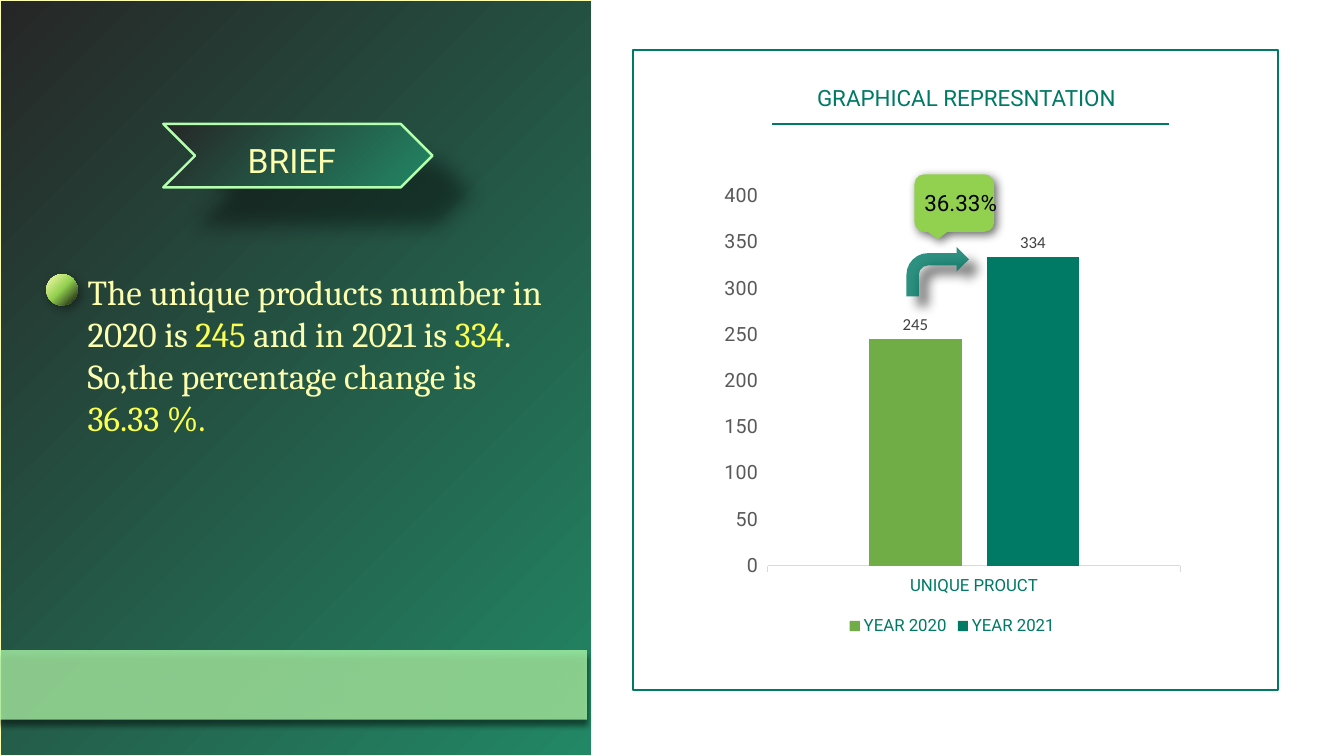
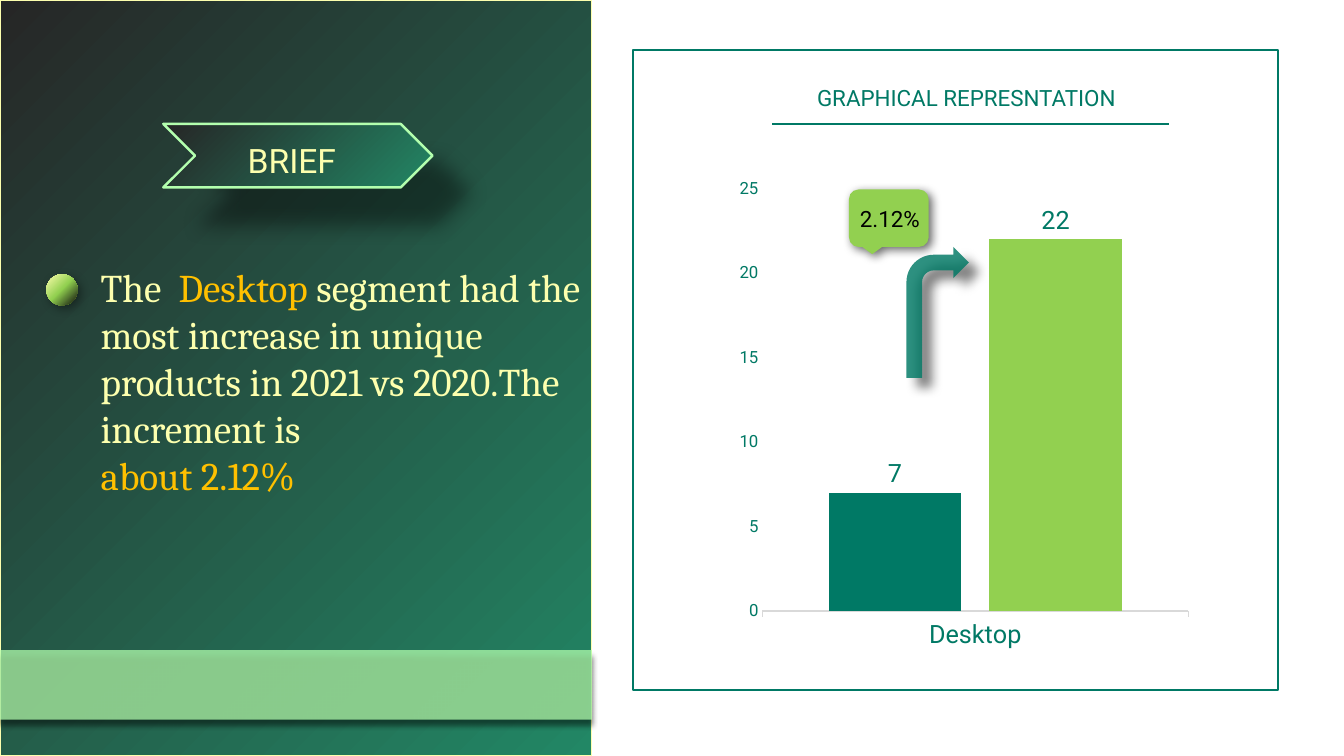
import pptx
import pptx.chart.data
import pptx.dml.color
import pptx.enum.chart
import pptx.enum.shapes
import pptx.enum.text
import pptx.oxml
import pptx.oxml.ns
import pptx.util
import lxml.etree

RGB = pptx.dml.color.RGBColor
SHAPE = pptx.enum.shapes.MSO_SHAPE
TICK = pptx.enum.chart.XL_TICK_MARK
ALIGN = pptx.enum.text.PP_ALIGN
qn = pptx.oxml.ns.qn
Pt = pptx.util.Pt

PX = 9144
BLACK = RGB(0x00, 0x00, 0x00)
WHITE = RGB(0xFF, 0xFF, 0xFF)
CHARCOAL = RGB(0x26, 0x26, 0x26)
INK = RGB(0x0D, 0x0D, 0x0D)
GREY = RGB(0x59, 0x59, 0x59)
LABEL_GREY = RGB(0x40, 0x40, 0x40)
AXIS_GREY = RGB(0xD9, 0xD9, 0xD9)
GREEN = RGB(0x22, 0x87, 0x65)
TEAL = RGB(0x00, 0x79, 0x65)
LEAF = RGB(0x70, 0xAD, 0x47)
LIME = RGB(0x92, 0xD0, 0x50)
MINT = RGB(0xB3, 0xFF, 0xAE)
CREAM = RGB(0xFD, 0xFF, 0xAE)
YELLOW = RGB(0xFB, 0xFF, 0x4F)
AMBER = RGB(0xFF, 0xC0, 0x00)


def add_box(s, kind, box, fill=None, alpha=100, line=None, width=1, shadow=None):
    sp = s.shapes.add_shape(kind, *(v * PX for v in box))
    spPr = sp._element.spPr
    if fill is None:
        sp.fill.background()
    elif isinstance(fill, list):
        sp.fill.gradient()
        sp.fill.gradient_angle = 315
        stops = spPr.find(".//" + qn("a:gsLst"))
        stops.clear()
        for i, color in enumerate(fill):
            gs = lxml.etree.SubElement(stops, qn("a:gs"), pos=str(100000 * i // (len(fill) - 1)))
            lxml.etree.SubElement(gs, qn("a:srgbClr"), val=str(color))
    else:
        sp.fill.solid()
        sp.fill.fore_color.rgb = fill
        if alpha < 100:
            clr = spPr.find(".//" + qn("a:srgbClr"))
            lxml.etree.SubElement(clr, qn("a:alpha"), val=str(alpha * 1000))
    if line is None:
        sp.line.fill.background()
    else:
        sp.line.color.rgb = line
        sp.line.width = Pt(width)
    sp.shadow.inherit = False
    if shadow:
        opacity, blur, dist, angle = shadow
        outer = lxml.etree.SubElement(
            spPr.find(qn("a:effectLst")), qn("a:outerShdw"), blurRad=str(Pt(blur)),
            dist=str(Pt(dist)), dir=str(angle * 60000), algn="tl", rotWithShape="0")
        clr = lxml.etree.SubElement(outer, qn("a:srgbClr"), val=str(BLACK))
        lxml.etree.SubElement(clr, qn("a:alpha"), val=str(opacity * 1000))
    return sp


def add_text(s, box, paragraphs, size, font="Roboto", align=ALIGN.LEFT, spacing=None):
    tb = s.shapes.add_textbox(*(v * PX for v in box))
    tf = tb.text_frame
    tf.word_wrap = True
    for i, runs in enumerate(paragraphs):
        p = tf.add_paragraph() if i else tf.paragraphs[0]
        p.alignment = align
        p.line_spacing = spacing
        for text, color in runs:
            if text == "\n":
                p.add_line_break()
                continue
            r = p.add_run()
            r.text = text
            r.font.size = Pt(size)
            r.font.name = font
            r.font.color.rgb = color
    return tb


SLIDES = [
    dict(
        band_width=582,
        brief=(77, 263, 518, 178), brief_size=25,
        paragraphs=[
            [("The unique products number in 2020 is ", CREAM), ("245", YELLOW),
             (" and in 2021 is ", CREAM), ("334", YELLOW), (".", CREAM)],
            [("So,the percentage change is ", CREAM), ("\n", CREAM), ("36.33 %.", YELLOW)],
        ],
        chart_box=(709, 173, 471, 462), category="UNIQUE PROUCT",
        series=[("YEAR 2020", 245, LEAF), ("YEAR 2021", 334, TEAL)],
        gap=219, overlap=-27, top=400, step=50, legend=True, plot=None,
        cat_size=12, axis_width=0.75, val_font=(14, GREY), val_tick=TICK.OUTSIDE,
        label_font=(12, LABEL_GREY, "Calibri"),
        arrow_height=49, callout=(907, 173), change="36.33%", change_at=(907, 183),
    ),
    dict(
        band_width=587,
        brief=(90, 256, 501, 245), brief_size=28,
        paragraphs=[
            [("The  ", CREAM), ("Desktop", AMBER),
             (" segment had the most increase in unique products in 2021 vs 2020.The increment is ", CREAM),
             ("\n", CREAM), ("about 2.12%", AMBER)],
        ],
        chart_box=(713, 173, 480, 476), category="Desktop",
        series=[("Series 1", 7, TEAL), ("Series 2", 22, LIME)],
        gap=100, overlap=-21, top=25, step=5, legend=False,
        plot=dict(x=0.09, y=0.03, w=0.88, h=0.88),
        cat_size=18, axis_width=1, val_font=(12, TEAL), val_tick=TICK.NONE,
        label_font=(18, TEAL, "Roboto"),
        arrow_height=130, callout=(842, 188), change="2.12%", change_at=(843, 199),
    ),
]

prs = pptx.Presentation()
prs.slide_width = 1333 * PX
prs.slide_height = 750 * PX

for d in SLIDES:
    s = prs.slides.add_slide(prs.slide_layouts[6])
    s.background.fill.solid()
    s.background.fill.fore_color.rgb = WHITE

    add_box(s, SHAPE.RECTANGLE, (0, 0, 587, 750), fill=[CHARCOAL, GREEN], line=CREAM)
    add_box(s, SHAPE.CHEVRON, (162, 123, 267, 63), fill=[CHARCOAL, GREEN],
            line=MINT, width=1.75, shadow=(40, 15, 37, 45))
    add_text(s, (79, 138, 421, 77), [[("BRIEF", CREAM)]], size=24, align=ALIGN.CENTER, spacing=0.9)
    add_box(s, SHAPE.RECTANGLE, (0, 645, d["band_width"], 69), fill=MINT, alpha=74,
            shadow=(66, 4, 4, 90))
    add_text(s, d["brief"], d["paragraphs"], size=d["brief_size"], font="Cambria")
    add_box(s, SHAPE.RECTANGLE, (628, 50, 640, 635), line=TEAL, width=1.5)
    add_box(s, SHAPE.FLOWCHART_CONNECTOR, (46, 272, 31, 31), fill=[CREAM, LIME, INK],
            shadow=(40, 7, 3, 45))

    data = pptx.chart.data.CategoryChartData()
    data.categories = [d["category"]]
    for name, value, color in d["series"]:
        data.add_series(name, [value])
    chart = s.shapes.add_chart(
        pptx.enum.chart.XL_CHART_TYPE.COLUMN_CLUSTERED,
        *(v * PX for v in d["chart_box"]), data).chart
    chart.has_title = False
    chart.font.size = Pt(10)
    chart.font.name = "Calibri"
    chart.font.color.rgb = BLACK

    chart.has_legend = d["legend"]
    if d["legend"]:
        chart.legend.position = pptx.enum.chart.XL_LEGEND_POSITION.BOTTOM
        chart.legend.include_in_layout = False
        chart.legend.font.size = Pt(12)
        chart.legend.font.name = "Roboto"
        chart.legend.font.color.rgb = TEAL

    plot = chart.plots[0]
    plot.vary_by_categories = False
    plot.gap_width = d["gap"]
    plot.overlap = d["overlap"]
    label_size, label_color, label_name = d["label_font"]
    for series, (name, value, color) in zip(plot.series, d["series"]):
        series.format.fill.solid()
        series.format.fill.fore_color.rgb = color
        labels = series.data_labels
        labels.show_value = True
        labels.position = pptx.enum.chart.XL_LABEL_POSITION.OUTSIDE_END
        labels.font.size = Pt(label_size)
        labels.font.name = label_name
        labels.font.color.rgb = label_color

    cat, val = chart.category_axis, chart.value_axis
    val_size, val_color = d["val_font"]
    for axis, size, color, tick in ((cat, d["cat_size"], TEAL, TICK.OUTSIDE),
                                    (val, val_size, val_color, d["val_tick"])):
        axis.has_major_gridlines = False
        axis.major_tick_mark = tick
        axis.minor_tick_mark = TICK.NONE
        axis.tick_labels.font.size = Pt(size)
        axis.tick_labels.font.name = "Roboto"
        axis.tick_labels.font.color.rgb = color
    cat.format.line.color.rgb = AXIS_GREY
    cat.format.line.width = Pt(d["axis_width"])
    val.format.line.fill.background()
    val.minimum_scale = 0
    val.maximum_scale = d["top"]
    val.major_unit = d["step"]

    if d["plot"]:
        area = chart._chartSpace.find(".//" + qn("c:plotArea"))
        for old in area.findall(qn("c:layout")):
            area.remove(old)
        layout = lxml.etree.Element(qn("c:layout"))
        area.insert(0, layout)
        manual = lxml.etree.SubElement(layout, qn("c:manualLayout"))
        settings = dict(layoutTarget="inner", xMode="edge", yMode="edge", **d["plot"])
        for key, value in settings.items():
            lxml.etree.SubElement(manual, qn("c:" + key), val=str(value))

    add_box(s, SHAPE.BENT_ARROW, (899, 245, 62, d["arrow_height"]), fill=TEAL, alpha=82,
            shadow=(60, 8, 10, 45))
    add_box(s, SHAPE.ROUNDED_RECTANGULAR_CALLOUT, (*d["callout"], 79, 57), fill=LIME,
            shadow=(60, 7, 3, 45))
    add_text(s, (*d["change_at"], 119, 37), [[(d["change"], BLACK)]], size=16)
    add_text(s, (748, 82, 421, 77), [[("GRAPHICAL REPRESNTATION", TEAL)]], size=16,
             align=ALIGN.CENTER, spacing=0.9)

    rule = s.shapes.add_connector(pptx.enum.shapes.MSO_CONNECTOR.STRAIGHT,
                                  766 * PX, 123 * PX, 1159 * PX, 123 * PX)
    rule.line.color.rgb = TEAL
    rule.line.width = Pt(1.5)
    lxml.etree.SubElement(rule._element.spPr, qn("a:effectLst"))

prs.save("out.pptx")
